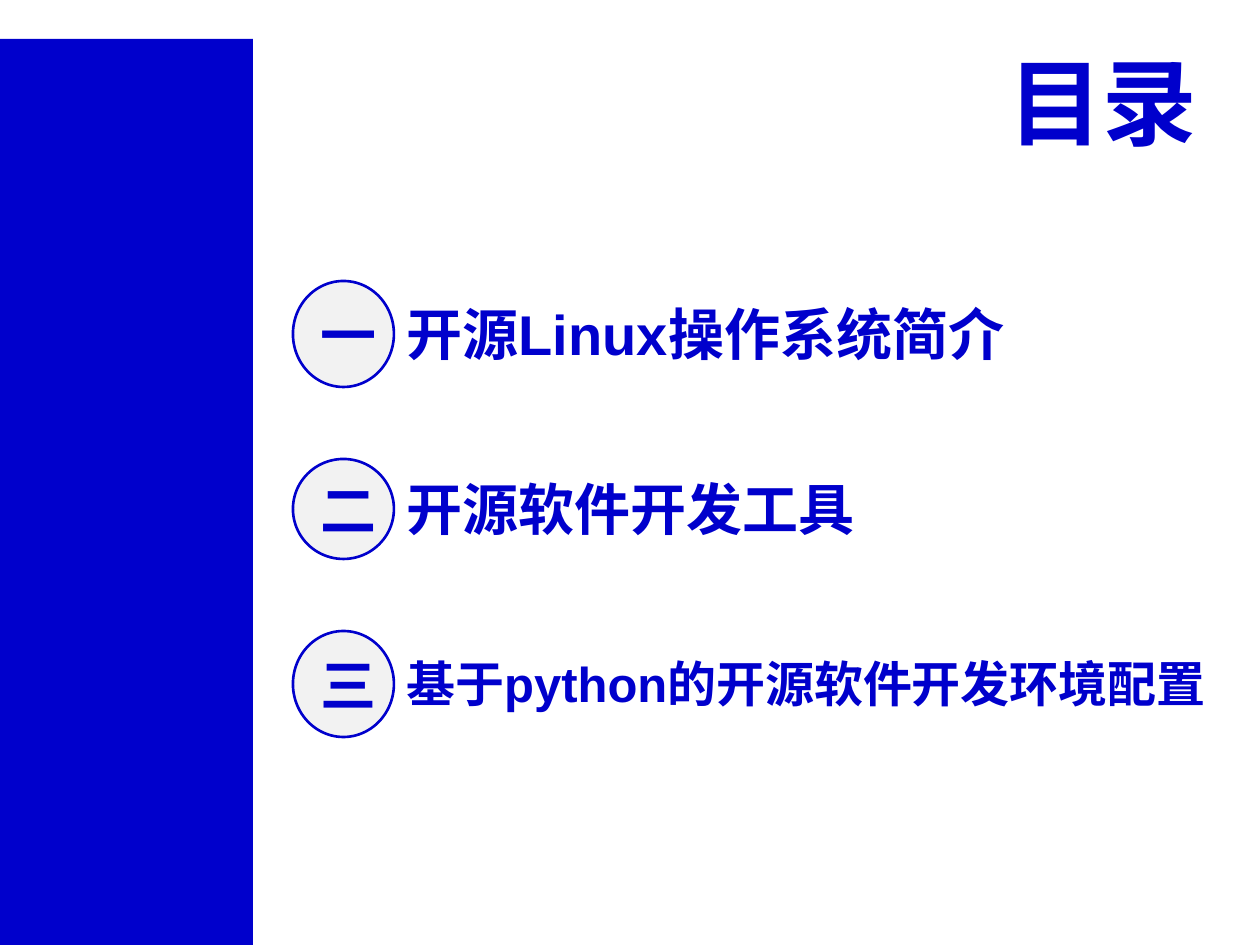
"""Build a contents slide with a side bar and three numbered entries."""
from pptx import Presentation
from pptx.dml.color import RGBColor
from pptx.enum.shapes import MSO_SHAPE as Shape
from pptx.enum.text import MSO_ANCHOR as Anchor, MSO_AUTO_SIZE as AutoSize, PP_ALIGN as Align
from pptx.oxml.ns import qn
from pptx.util import Emu, Pt
from lxml.etree import SubElement

PX = 914400 // 126
BLUE, GREY = "0000CC", "F2F2F2"
CJK = "Noto Sans CJK SC"


def color(value):
    return RGBColor.from_string(value)


def write(shape, text, size=32, font="Arial", align=Align.LEFT, wrap=True):
    frame = shape.text_frame
    frame.auto_size = AutoSize.NONE
    frame.word_wrap = wrap
    frame.vertical_anchor = Anchor.MIDDLE
    para = frame.paragraphs[0]
    para.alignment = align
    span = para.add_run()
    span.text = text
    span.font.size = Pt(size)
    span.font.bold = True
    span.font.color.rgb = color(BLUE)
    span.font.name = font
    SubElement(span.font._element, qn("a:ea")).set("typeface", CJK)


deck = Presentation()
deck.slide_width, deck.slide_height = Emu(1260 * PX), Emu(945 * PX)
page = deck.slides.add_slide(deck.slide_layouts[5])

bar = page.shapes.add_shape(Shape.RECTANGLE, 0, 39 * PX, 253 * PX, 906 * PX)
bar.shadow.inherit = False
bar.fill.solid()
bar.fill.fore_color.rgb = color(BLUE)
bar.line.fill.background()

title = page.shapes.title
title.left, title.top, title.width, title.height = (Emu(n * PX) for n in (988, 37, 222, 127))
write(title, "目录", size=54, align=Align.RIGHT, wrap=False)

entries = [
    ("一", "开源Linux操作系统简介", 32, 106, 815),
    ("二", "开源软件开发工具", 32, 100, 781),
    ("三", "基于python的开源软件开发环境配置", 28, 106, 852),
]
for index, (number, topic, size, height, width) in enumerate(entries):
    middle = 334 + 175 * index
    circle = page.shapes.add_shape(
        Shape.OVAL, 293 * PX, (middle - height // 2) * PX, 101 * PX, height * PX)
    circle.shadow.inherit = False
    circle.fill.solid()
    circle.fill.fore_color.rgb = color(GREY)
    circle.line.color.rgb = color(BLUE)
    circle.line.width = Pt(1.5)
    write(circle, number, font=CJK, align=Align.CENTER)

    label = page.shapes.add_textbox(394 * PX, (middle - 41) * PX, width * PX, 80 * PX)
    write(label, topic, size=size)

deck.save("out.pptx")
